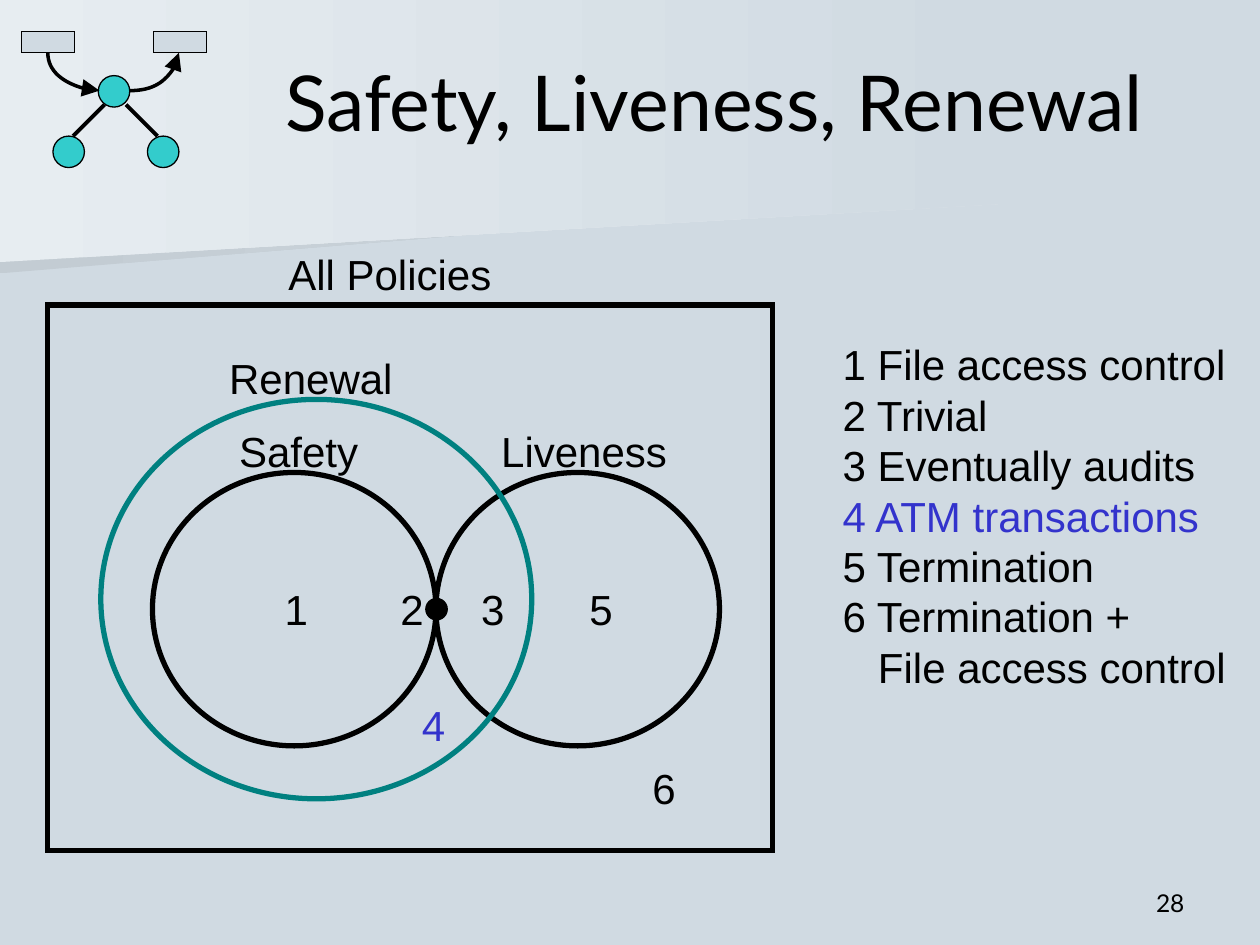
from lxml.etree import SubElement
from pptx import Presentation
from pptx.dml.color import RGBColor
from pptx.enum.shapes import MSO_CONNECTOR, MSO_SHAPE
from pptx.enum.text import MSO_ANCHOR, MSO_AUTO_SIZE, PP_ALIGN
from pptx.oxml.ns import qn
from pptx.util import Inches, Pt

BLACK, BLUE, TEAL = "000000", "3333CC", "008080"
BACKGROUND, NODE = "D0DAE2", "33CCCC"


def add_outlined(kind, box, fill=None, line=BLACK, width=0.75):
    """Add a preset shape with sharp corners; without a fill colour it is see-through."""
    shape = slide.shapes.add_shape(kind, *map(Inches, box))
    shape.shadow.inherit = False
    if fill:
        shape.fill.solid()
        shape.fill.fore_color.rgb = RGBColor.from_string(fill)
    else:
        shape.fill.background()
    shape.line.color.rgb = RGBColor.from_string(line)
    shape.line.width = Pt(width)
    SubElement(shape._element.spPr.find(qn("a:ln")), qn("a:miter"), lim="800000")


def add_text(text, box, size=24, font="Arial", color=BLACK, wrap=False,
             anchor=MSO_ANCHOR.TOP, align=PP_ALIGN.LEFT):
    """Add a text box, one paragraph for each line; unwrapped boxes grow with their text."""
    text_frame = slide.shapes.add_textbox(*map(Inches, box)).text_frame
    text_frame.word_wrap = wrap
    text_frame.auto_size = MSO_AUTO_SIZE.NONE if wrap else MSO_AUTO_SIZE.SHAPE_TO_FIT_TEXT
    text_frame.vertical_anchor = anchor
    text_frame.text = text
    for paragraph in text_frame.paragraphs:
        paragraph.alignment = align
        for run in paragraph.runs:
            run.font.size = Pt(size)
            run.font.name = font
            run.font.color.rgb = RGBColor.from_string(color)
    return text_frame


presentation = Presentation()
presentation.slide_width = Inches(10)
presentation.slide_height = Inches(7.5)
slide = presentation.slides.add_slide(presentation.slide_layouts[6])
slide.background.fill.solid()
slide.background.fill.fore_color.rgb = RGBColor.from_string(BACKGROUND)

# Backdrop wedges, fading into the background towards the right
wedges = [
    ("C3CCD3", [(0, 1.01), (7.79, 1.01), (7.78, 1.53), (0, 2.17)]),
    ("E7EDF1", [(0, 0), (7.92, 0), (7.92, 1.62), (0, 2.08)]),
]
for left_color, points in wedges:
    corners = [(Inches(x), Inches(y)) for x, y in points]
    builder = slide.shapes.build_freeform(*corners[0], scale=1.0)
    builder.add_line_segments(corners[1:], close=True)
    wedge = builder.convert_to_shape()
    wedge.shadow.inherit = False
    wedge.line.fill.background()
    wedge.fill.gradient()
    wedge.fill.gradient_angle = 0
    for stop, color in zip(wedge.fill.gradient_stops, (left_color, BACKGROUND)):
        stop.color.rgb = RGBColor.from_string(color)

# Small network emblem
for left, top in [(0.42, 1.08), (1.17, 1.08), (0.78, 0.6)]:
    add_outlined(MSO_SHAPE.OVAL, (left, top, 0.25, 0.25), fill=NODE)
for left in (0.17, 1.22):
    add_outlined(MSO_SHAPE.RECTANGLE, (left, 0.25, 0.42, 0.17), fill=BACKGROUND)

# Curves leave the middle node sideways and meet the boxes from below
links = [
    (MSO_CONNECTOR.STRAIGHT, (0.58, 1.08, 0.83, 0.83), 2.25, None),
    (MSO_CONNECTOR.STRAIGHT, (1, 0.83, 1.25, 1.08), 2.25, None),
    (MSO_CONNECTOR.CURVE, (0.79, 0.72, 0.38, 0.42), 2, "a:headEnd"),
    (MSO_CONNECTOR.CURVE, (1.03, 0.72, 1.42, 0.42), 2, "a:tailEnd"),
]
for kind, ends, width, arrow_end in links:
    link = slide.shapes.add_connector(kind, *map(Inches, ends))
    link.line.color.rgb = RGBColor.from_string(BLACK)
    link.line.width = Pt(width)
    properties = link._element.spPr
    if arrow_end:
        properties.find(qn("a:prstGeom")).set("prst", "curvedConnector2")
        SubElement(properties.find(qn("a:ln")), qn(arrow_end),
                   type="triangle", w="lg", len="lg")
    SubElement(properties, qn("a:effectLst"))

add_text("Safety, Liveness, Renewal", (1.92, 0.17, 7.5, 1.25), size=44, font="Lato",
         wrap=True, anchor=MSO_ANCHOR.MIDDLE, align=PP_ALIGN.CENTER)

# Venn diagram
add_outlined(MSO_SHAPE.RECTANGLE, (0.38, 2.42, 5.75, 4.33), width=3)
for left in (1.21, 3.46):
    add_outlined(MSO_SHAPE.OVAL, (left, 3.75, 2.25, 2.17), width=3)
add_outlined(MSO_SHAPE.OVAL, (0.8, 3.17, 3.42, 3.17), line=TEAL, width=3)

set_labels = [
    ("Safety", 1.8, 3.33, 1.16),
    ("Liveness", 3.88, 3.33, 1.53),
    ("Renewal", 1.72, 2.75, 1.51),
    ("All Policies", 2.19, 1.92, 1.83),
]
for text, left, top, width in set_labels:
    add_text(text, (left, top, width, 0.5))

region_numbers = [
    ("1", 2.16, 4.58), ("2", 3.08, 4.58), ("3", 3.72, 4.58),
    ("4", 3.25, 5.5), ("5", 4.58, 4.58), ("6", 5.08, 6),
]
for number, left, top in region_numbers:
    add_text(number, (left, top, 0.38, 0.5), color=BLUE if number == "4" else BLACK)

# Examples for the numbered regions
examples = [
    "1 File access control",
    "2 Trivial",
    "3 Eventually audits",
    "4 ATM transactions",
    "5 Termination",
    "6 Termination +",
    "File access control",
]
legend = add_text("\n".join(examples), (6.59, 2.64, 3.24, 2.9))
legend.paragraphs[3].runs[0].font.color.rgb = RGBColor.from_string(BLUE)
legend.paragraphs[-1]._p.get_or_add_pPr().set("marL", str(Inches(0.28)))

add_outlined(MSO_SHAPE.OVAL, (3.38, 4.75, 0.17, 0.17), fill=BLACK)
add_text("28", (7.17, 6.83, 2.33, 0.5), size=14, font="Lato", wrap=True,
         anchor=MSO_ANCHOR.BOTTOM, align=PP_ALIGN.RIGHT)

presentation.save("out.pptx")
